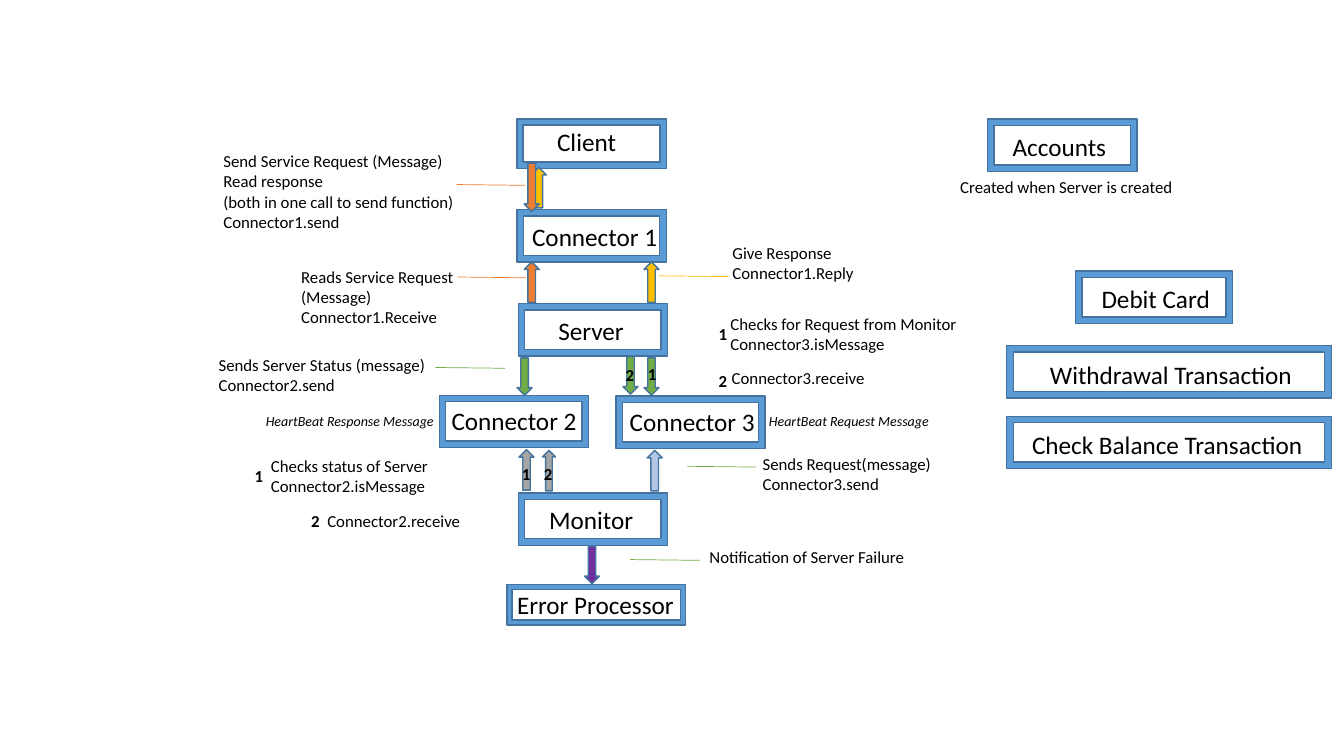
import pptx
import pptx.util
import pptx.dml.color
import pptx.enum.shapes
import pptx.enum.text
import pptx.oxml

Cm = pptx.util.Cm
Pt = pptx.util.Pt
RGBColor = pptx.dml.color.RGBColor
Shape = pptx.enum.shapes.MSO_SHAPE

BLACK = RGBColor(0x00, 0x00, 0x00)
BLUE = RGBColor(0x5B, 0x9B, 0xD5)
OUTLINE = RGBColor(0x43, 0x73, 0x9E)
ORANGE = RGBColor(0xED, 0x7D, 0x31)
GOLD = RGBColor(0xFF, 0xC0, 0x00)
GREEN = RGBColor(0x70, 0xAD, 0x47)
GRAY = RGBColor(0xA5, 0xA5, 0xA5)
PALE_BLUE = RGBColor(0xB4, 0xC7, 0xE7)
PURPLE = RGBColor(0x70, 0x30, 0xA0)

EFFECT_LIST = (
    '<a:effectLst xmlns:a="http://schemas.openxmlformats.org/drawingml/2006/main"/>'
)
BOX_WIDTH = 3.76
BOX_HEIGHT = 1.32
ARROW_WIDTH = 0.38
LONG_ARROW = 1.02
SHORT_ARROW = 0.94

# label, label left, label top, label width, left, top, width, height
COMPONENTS = [
    ("Client", 13.79, 3.05, 3.02, 13.03, 3.0, BOX_WIDTH, 1.24),
    ("Connector 1", 13.16, 5.46, 4.17, 13.03, 5.28, BOX_WIDTH, BOX_HEIGHT),
    ("Server", 13.82, 7.82, 2.82, 13.06, 7.65, BOX_WIDTH, BOX_HEIGHT),
    ("Error Processor", 12.78, 14.73, 8.74, 12.78, 14.73, 4.5, 1.02),
    ("Accounts", 25.27, 3.18, 3.0, 24.89, 3.0, BOX_WIDTH, BOX_HEIGHT),
    ("Connector 2", 11.13, 10.08, 3.91, 11.07, 9.96, BOX_WIDTH, BOX_HEIGHT),
    ("Connector 3", 15.62, 10.11, 4.37, 15.52, 9.98, BOX_WIDTH, BOX_HEIGHT),
    ("Monitor", 13.59, 12.57, 3.25, 13.06, 12.42, BOX_WIDTH, BOX_HEIGHT),
    ("Withdrawal Transaction", 26.21, 8.92, 7.06, 25.37, 8.71, 8.18, BOX_HEIGHT),
    ("Check Balance Transaction", 25.76, 10.69, 7.6, 25.37, 10.49, 8.18, BOX_HEIGHT),
    ("Debit Card", 27.51, 7.01, 3.4, 27.1, 6.83, 3.96, BOX_HEIGHT),
]

ARROWS = [
    (Shape.UP_ARROW, GOLD, 13.39, 4.22, ARROW_WIDTH, LONG_ARROW),
    (Shape.DOWN_ARROW, ORANGE, 13.21, 4.11, ARROW_WIDTH, 1.22),
    (Shape.UP_ARROW, ORANGE, 13.21, 6.6, ARROW_WIDTH, LONG_ARROW),
    (Shape.UP_ARROW, GOLD, 16.23, 6.6, ARROW_WIDTH, LONG_ARROW),
    (Shape.DOWN_ARROW, GREEN, 13.03, 9.02, ARROW_WIDTH, SHORT_ARROW),
    (Shape.DOWN_ARROW, GREEN, 15.7, 8.99, ARROW_WIDTH, SHORT_ARROW),
    (Shape.DOWN_ARROW, GREEN, 16.23, 9.02, ARROW_WIDTH, SHORT_ARROW),
    (Shape.UP_ARROW, GRAY, 13.08, 11.33, ARROW_WIDTH, LONG_ARROW),
    (Shape.UP_ARROW, GRAY, 13.67, 11.35, 0.33, LONG_ARROW),
    (Shape.UP_ARROW, PALE_BLUE, 16.31, 11.35, ARROW_WIDTH, LONG_ARROW),
    (Shape.DOWN_ARROW, PURPLE, 14.73, 13.77, ARROW_WIDTH, SHORT_ARROW),
]

LEADERS = [
    (ORANGE, 11.51, 4.65, 13.23, 4.67),
    (ORANGE, 11.53, 6.98, 13.26, 7.0),
    (GOLD, 16.61, 6.95, 18.36, 6.97),
    (GREEN, 10.97, 9.26, 12.73, 9.28),
    (GREEN, 17.32, 11.75, 19.05, 11.77),
    (GREEN, 15.88, 14.1, 17.63, 14.12),
]

NOTES = [
    (["Send Service Request (Message)", "Read response",
      "(both in one call to send function)", "Connector1.send"], 5.38, 3.68, 6.63),
    (["Reads Service Request", "(Message)", "Connector1.Receive"], 7.34, 6.6, 4.47),
    (["Give Response", "Connector1.Reply"], 18.21, 5.99, 3.58),
    (["Created when Server is created"], 23.95, 4.32, 6.3),
    (["Checks status of Server", "Connector2.isMessage"], 6.58, 11.35, 4.47),
    (["Sends Server Status (message)", "Connector2.send"], 5.26, 8.81, 5.99),
    (["Checks for Request from Monitor", "Connector3.isMessage"], 18.16, 7.77, 6.35),
    (["Sends Request(message)", "Connector3.send"], 18.97, 11.3, 5.99),
    (["Notification of Server Failure"], 17.63, 13.64, 5.99),
    (["Connector2.receive"], 8.0, 12.75, 3.86),
    (["Connector3.receive"], 18.19, 9.14, 3.86),
]

MESSAGES = [
    ("HeartBeat Request Message", 19.13, 10.26, 4.8),
    ("HeartBeat Response Message", 6.45, 10.26, 5.08),
]

STEPS = [
    ("1", 12.9, 11.56), ("2", 13.46, 11.56),
    ("1", 16.08, 9.04), ("2", 15.52, 9.07),
    ("1", 6.17, 11.61), ("2", 7.59, 12.75),
    ("1", 17.86, 8.03), ("2", 17.86, 9.22),
]


def add_text(slide, lines, left, top, width, size=12, bold=False, italic=False):
    height = 0.25 + 0.0425 * size * len(lines)
    text_box = slide.shapes.add_textbox(Cm(left), Cm(top), Cm(width), Cm(height))
    frame = text_box.text_frame
    frame.word_wrap = True
    frame.auto_size = pptx.enum.text.MSO_AUTO_SIZE.SHAPE_TO_FIT_TEXT
    for index, line in enumerate(lines):
        paragraph = frame.add_paragraph() if index else frame.paragraphs[0]
        run = paragraph.add_run()
        run.text = line
        run.font.name = "Calibri"
        run.font.size = Pt(size)
        run.font.bold = bold
        run.font.italic = italic
        run.font.color.rgb = BLACK


def add_outlined_shape(slide, kind, color, left, top, width, height):
    shape = slide.shapes.add_shape(kind, Cm(left), Cm(top), Cm(width), Cm(height))
    shape.shadow.inherit = False
    shape.fill.solid()
    shape.fill.fore_color.rgb = color
    shape.line.color.rgb = OUTLINE
    shape.line.width = Pt(1)


def add_component(slide, label, label_left, label_top, label_width, *box):
    add_text(slide, [label], label_left, label_top, label_width, size=18)
    add_outlined_shape(slide, Shape.FRAME, BLUE, *box)


def add_leader(slide, color, *ends):
    connector = slide.shapes.add_connector(
        pptx.enum.shapes.MSO_CONNECTOR.STRAIGHT, *[Cm(end) for end in ends]
    )
    connector.line.color.rgb = color
    connector.line.width = Pt(0.5)
    connector._element.spPr.append(pptx.oxml.parse_xml(EFFECT_LIST))


def main():
    presentation = pptx.Presentation()
    presentation.slide_width = Cm(33.87)
    presentation.slide_height = Cm(19.05)
    slide = presentation.slides.add_slide(presentation.slide_layouts[6])
    for component in COMPONENTS:
        add_component(slide, *component)
    for arrow in ARROWS:
        add_outlined_shape(slide, *arrow)
    for leader in LEADERS:
        add_leader(slide, *leader)
    for note in NOTES:
        add_text(slide, *note)
    for message, left, top, width in MESSAGES:
        add_text(slide, [message], left, top, width, size=10, italic=True)
    for number, left, top in STEPS:
        add_text(slide, [number], left, top, 0.81, bold=True)
    presentation.save("out.pptx")


main()
